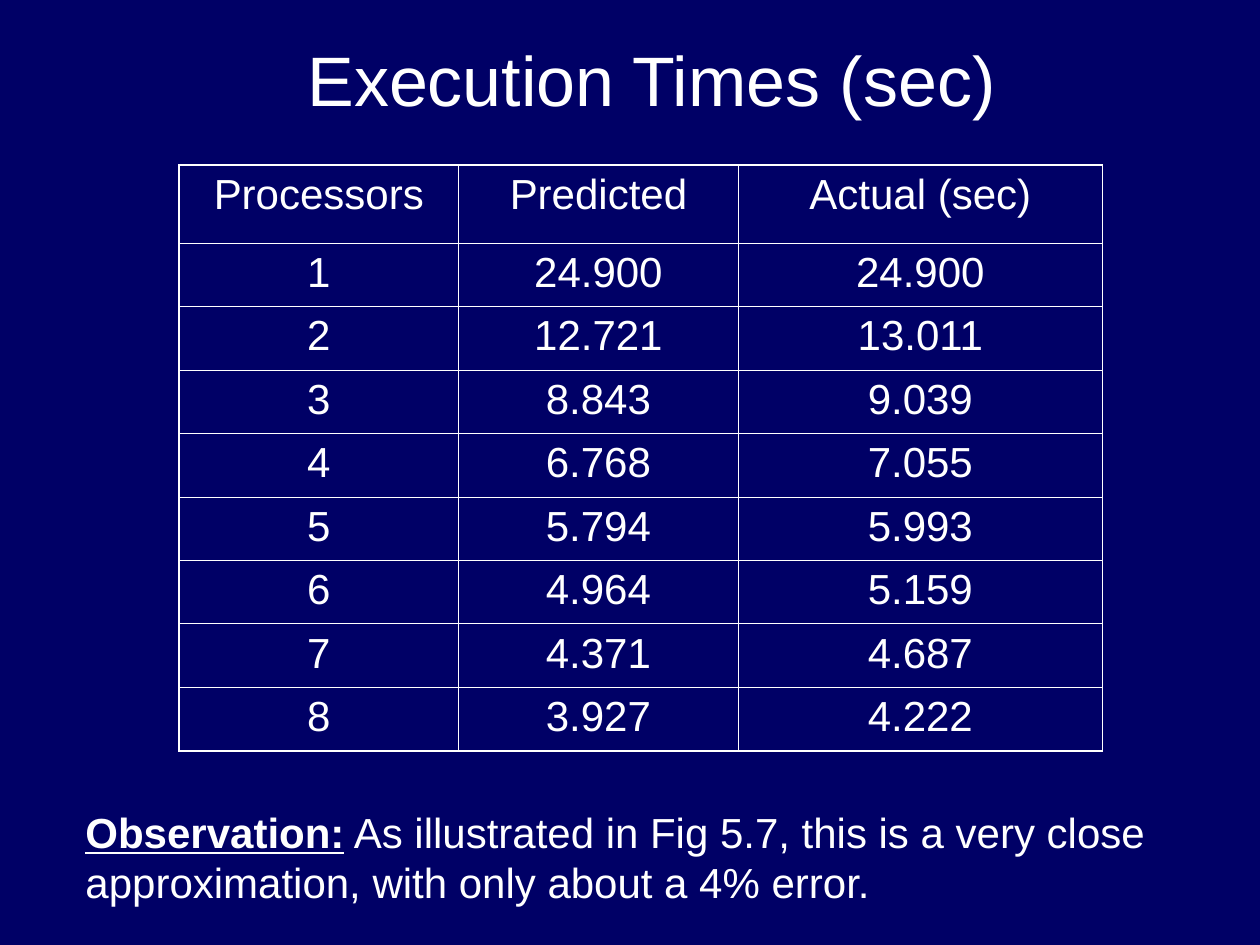
from dataclasses import dataclass

from lxml import etree
from pptx import Presentation
from pptx import util as u
from pptx.dml import color
from pptx.enum import text
from pptx.oxml import ns

HUES = {"back": "000066", "ink": "FFFFFF"}
FONT = "Arial"
THIN, THICK = 0.45, 1.08


@dataclass
class Box:
    left: float
    top: float
    width: float
    height: float

    def spans(self) -> list:
        return [u.Inches(v) for v in (self.left, self.top, self.width, self.height)]


@dataclass
class Run:
    words: str
    strong: bool = False


TITLE = Box(0.92, 0.25, 8.5, 0.75)
GRID = Box(1.42, 1.31, 7.33, 4.65)
NOTE = Box(0.58, 6.35, 8.75, 0.9)
COLS = (2.22, 2.22, 2.89)
HEAD = 0.62
ROWS = [
    ("Processors", "Predicted", "Actual (sec)"),
    ("1", "24.900", "24.900"),
    ("2", "12.721", "13.011"),
    ("3", "8.843", "9.039"),
    ("4", "6.768", "7.055"),
    ("5", "5.794", "5.993"),
    ("6", "4.964", "5.159"),
    ("7", "4.371", "4.687"),
    ("8", "3.927", "4.222"),
]


def write(frame, *runs: Run, size: int = 24, align=text.PP_ALIGN.CENTER,
          anchor=text.MSO_ANCHOR.TOP) -> None:
    frame.word_wrap = True
    frame.vertical_anchor = anchor
    para = frame.paragraphs[0]
    para.alignment = align
    for item in runs:
        run = para.add_run()
        run.text = item.words
        font = run.font
        font.name, font.size = FONT, u.Pt(size)
        font.bold = font.underline = item.strong
        font.color.rgb = color.RGBColor.from_string(HUES["ink"])


def edge(cell, side: str, width: float) -> None:
    props = cell._tc.get_or_add_tcPr()
    line = etree.SubElement(props, ns.qn(f"a:ln{side}"), w=str(int(u.Pt(width))))
    fill = etree.SubElement(line, ns.qn("a:solidFill"))
    etree.SubElement(fill, ns.qn("a:srgbClr"), val=HUES["ink"])


def draw(slide) -> None:
    last, end = len(ROWS) - 1, len(COLS) - 1
    table = slide.shapes.add_table(len(ROWS), len(COLS), *GRID.spans()).table
    table.first_row = table.horz_banding = False
    for col, width in zip(table.columns, COLS):
        col.width = u.Inches(width)
    for r, values in enumerate(ROWS):
        height = (GRID.height - HEAD) / last if r else HEAD
        table.rows[r].height = u.Inches(height)
        for c, value in enumerate(values):
            cell = table.cell(r, c)
            write(cell.text_frame, Run(value))
            outer = {"L": c == 0, "R": c == end, "T": r == 0, "B": r == last}
            for side, rim in outer.items():
                edge(cell, side, THICK if rim else THIN)
            cell.fill.background()


def main() -> None:
    deck = Presentation()
    deck.slide_width, deck.slide_height = u.Inches(10), u.Inches(7.5)
    slide = deck.slides.add_slide(deck.slide_layouts[6])
    back = slide.background.fill
    back.solid()
    back.fore_color.rgb = color.RGBColor.from_string(HUES["back"])
    title = slide.shapes.add_textbox(*TITLE.spans())
    write(title.text_frame, Run("Execution Times (sec)"), size=40,
          anchor=text.MSO_ANCHOR.MIDDLE)
    draw(slide)
    note = slide.shapes.add_textbox(*NOTE.spans())
    write(note.text_frame, Run("Observation:", strong=True),
          Run(" As illustrated in Fig 5.7, this is a very close approximation, "
              "with only about a 4% error."),
          align=text.PP_ALIGN.LEFT)
    deck.save("out.pptx")


if __name__ == "__main__":
    main()
